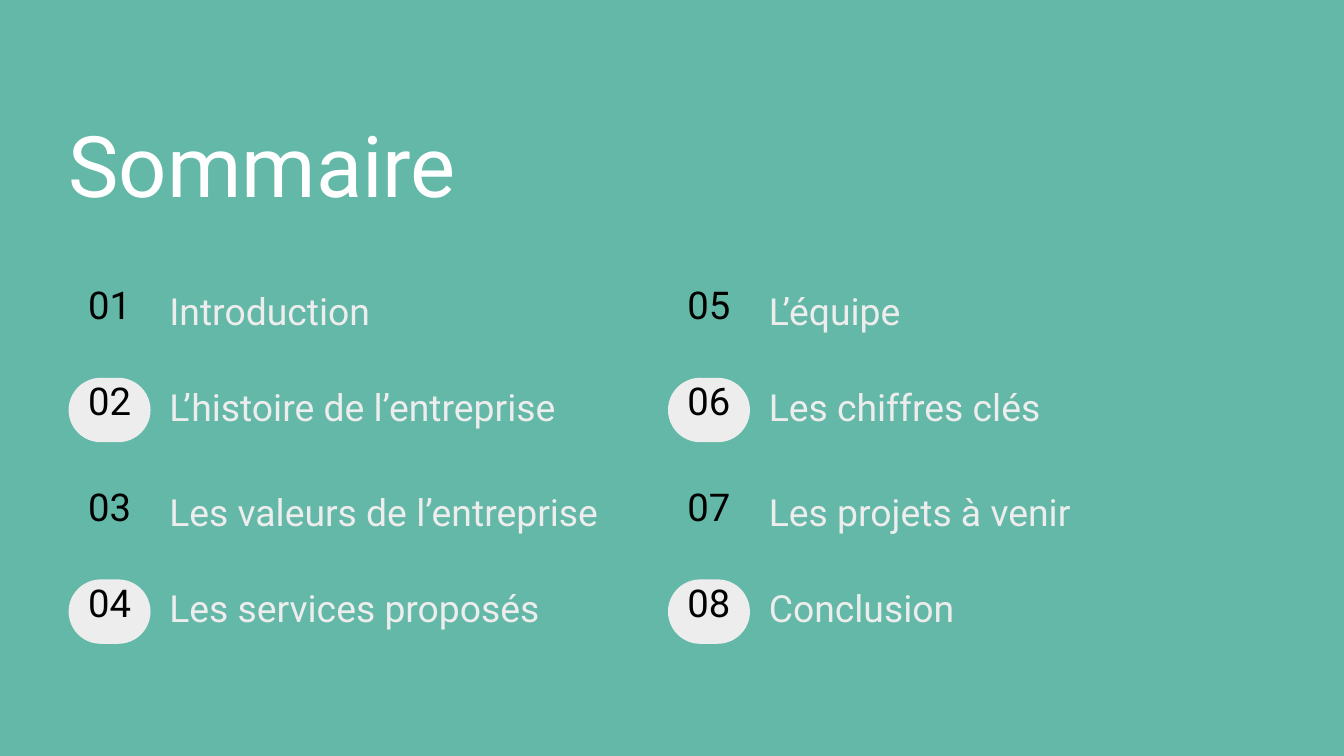
from pptx import Presentation
from pptx.dml.color import RGBColor as Rgb
from pptx.enum.shapes import MSO_SHAPE as Shape
from pptx.enum.text import MSO_ANCHOR as Anchor, MSO_AUTO_SIZE as Fit, PP_ALIGN as Align
from pptx.util import Inches, Pt

WIDE, HIGH = Inches(20), Inches(11.25)
COLORS = {"back": "63B8A7", "title": "FFFFFF", "pale": "EDEDED", "ink": "000000"}
TOPICS = [
    ["Introduction", "L’histoire de l’entreprise",
     "Les valeurs de l’entreprise", "Les services proposés"],
    ["L’équipe", "Les chiffres clés", "Les projets à venir", "Conclusion"],
]


def color(name):
    """Return the named colour."""
    return Rgb.from_string(COLORS[name])


def place(left, top, width, height):
    """Turn percentages of the slide into lengths."""
    return (round(WIDE * left / 100), round(HIGH * top / 100),
            round(WIDE * width / 100), round(HIGH * height / 100))


def write(shape, text, size, lead, ink, align=Align.LEFT,
          anchor=Anchor.TOP, inset=0, fit=Fit.SHAPE_TO_FIT_TEXT):
    """Fill a shape with one formatted paragraph."""
    frame = shape.text_frame
    frame.word_wrap = True
    frame.auto_size = fit
    frame.vertical_anchor = anchor
    frame.margin_left = frame.margin_right = Inches(inset)
    frame.margin_top = frame.margin_bottom = Inches(inset)
    para = frame.paragraphs[0]
    para.text = text
    para.alignment = align
    para.line_spacing = Pt(lead)
    para.space_before = Pt(0)
    font = para.font
    font.name, font.size, font.color.rgb = "Roboto", Pt(size), color(ink)


def add_title(slide, box):
    """Set the heading in the title placeholder."""
    title = slide.shapes.title
    title.left, title.top, title.width, title.height = place(*box)
    write(title, "Sommaire", 91, 89.2, "title", align=Align.JUSTIFY)


def add_badge(slide, box):
    """Draw the pale pill behind a number."""
    left, top, width, height = box
    pill = slide.shapes.add_shape(
        Shape.ROUNDED_RECTANGLE,
        *place(left, top + 0.29 * height, width, 0.71 * height))
    pill.adjustments[0] = 0.5
    pill.shadow.inherit = False
    pill.fill.solid()
    pill.fill.fore_color.rgb = color("pale")
    pill.line.fill.background()


def add_topic(slide, box, number, text):
    """Add a number and its label, with a pill for even numbers."""
    left, top, width, height = box
    cell = (left, top, 6.1, height)
    if number % 2 == 0:
        add_badge(slide, cell)
    digits = slide.shapes.add_textbox(*place(*cell))
    write(digits, f"{number:02}", 41, 57.4, "ink", align=Align.CENTER,
          anchor=Anchor.MIDDLE, inset=0.06, fit=Fit.NONE)
    label = slide.shapes.add_textbox(
        *place(left + 7.5, top + 5.36, width - 7.5, 5.33))
    write(label, text, 40, 39.2, "pale")


def add_list(slide, box):
    """Lay out the topics in two columns of paired rows."""
    left, top, width, height = box
    number = 0
    for col, topics in enumerate(TOPICS):
        for row, text in enumerate(topics):
            number += 1
            pair, second = divmod(row, 2)
            down = top + pair * 26.67 + second * 12.71
            add_topic(slide, (left + col * 44.6, down, width, height), number, text)


def main():
    """Build and save the slide."""
    deck = Presentation()
    deck.slide_width, deck.slide_height = WIDE, HIGH
    slide = deck.slides.add_slide(deck.slide_layouts[5])
    slide.background.fill.solid()
    slide.background.fill.fore_color.rgb = color("back")
    add_title(slide, (5.1, 17.33, 39.95, 11.82))
    add_list(slide, (5.1, 33.78, 41.25, 12))
    deck.save("out.pptx")


if __name__ == "__main__":
    main()
